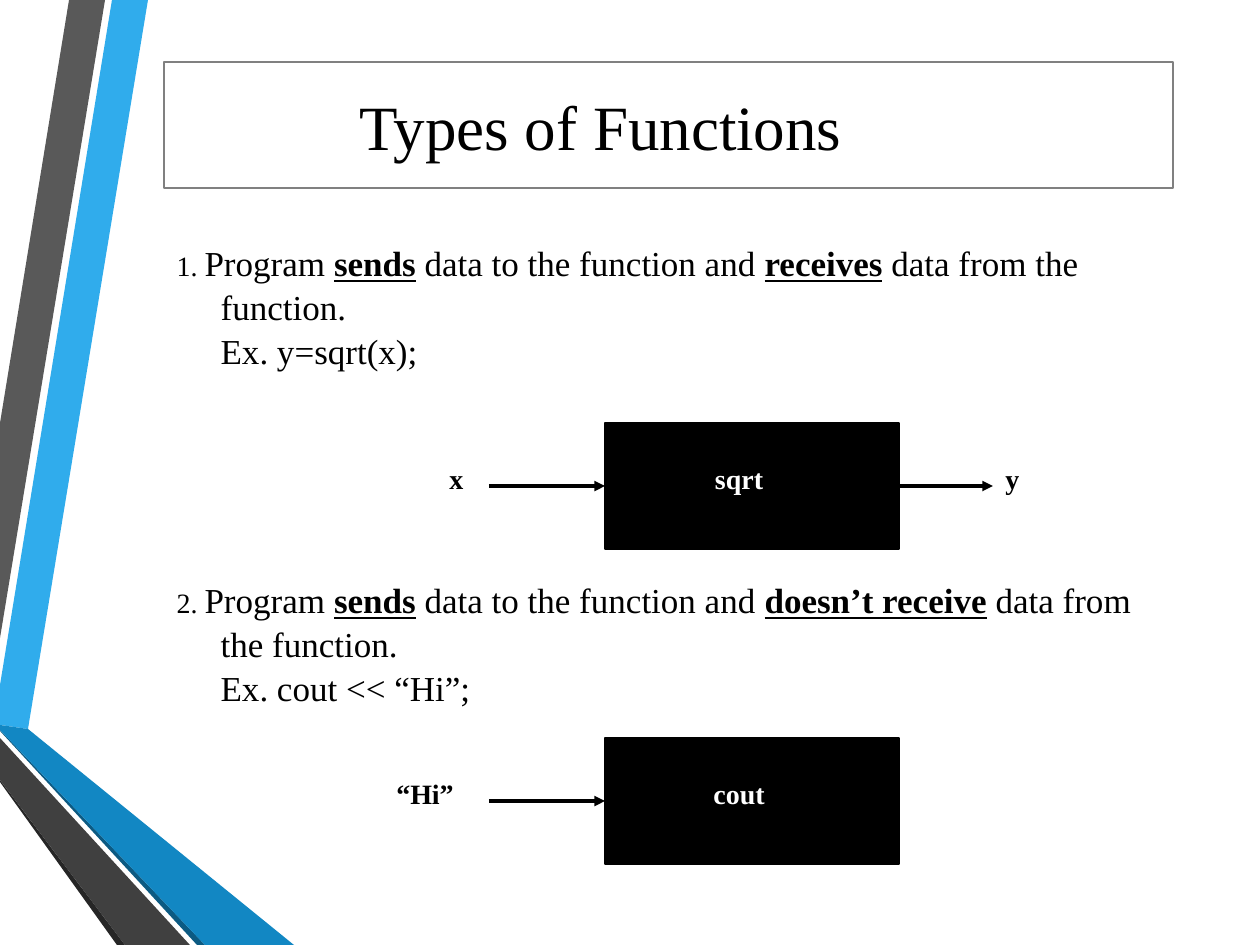
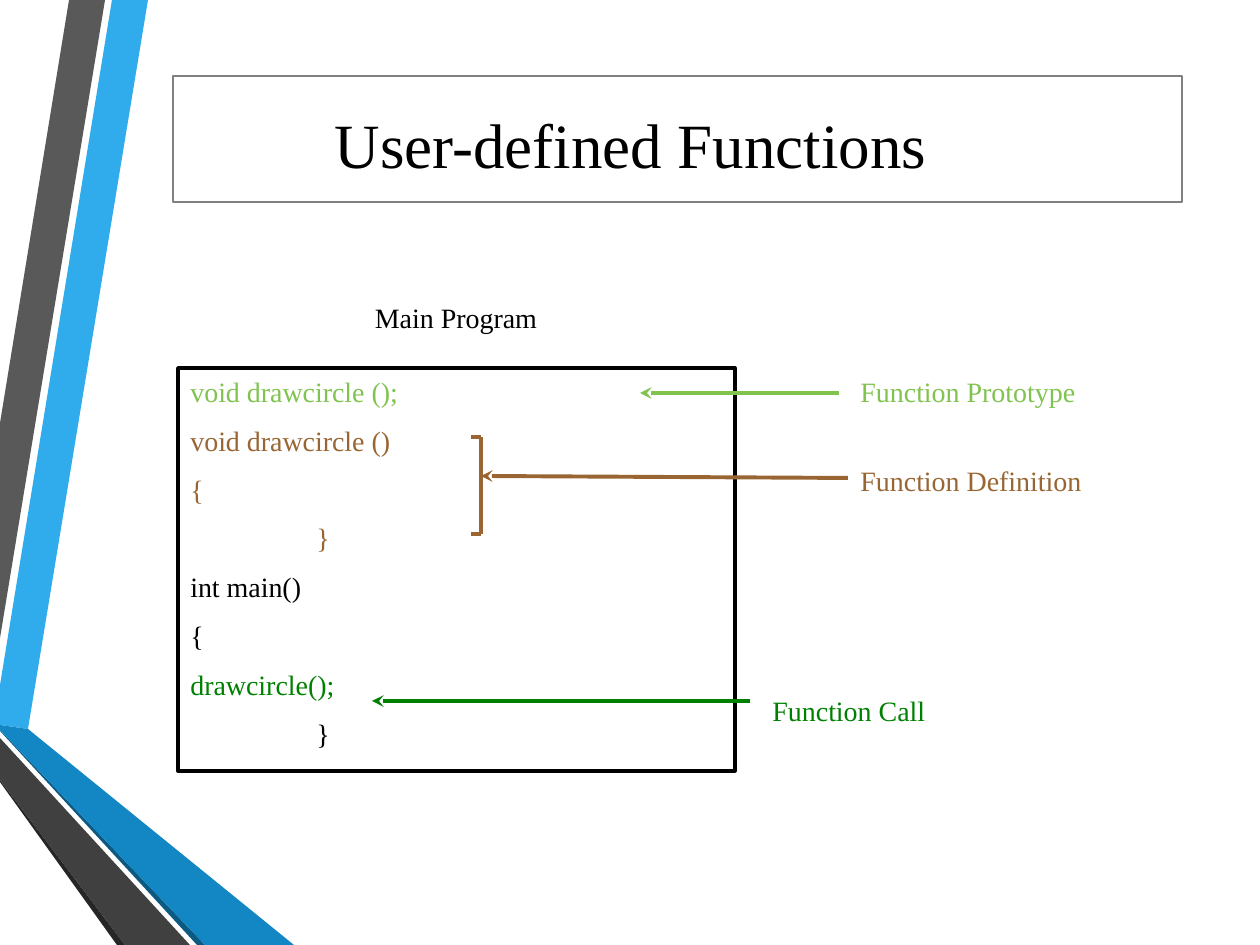
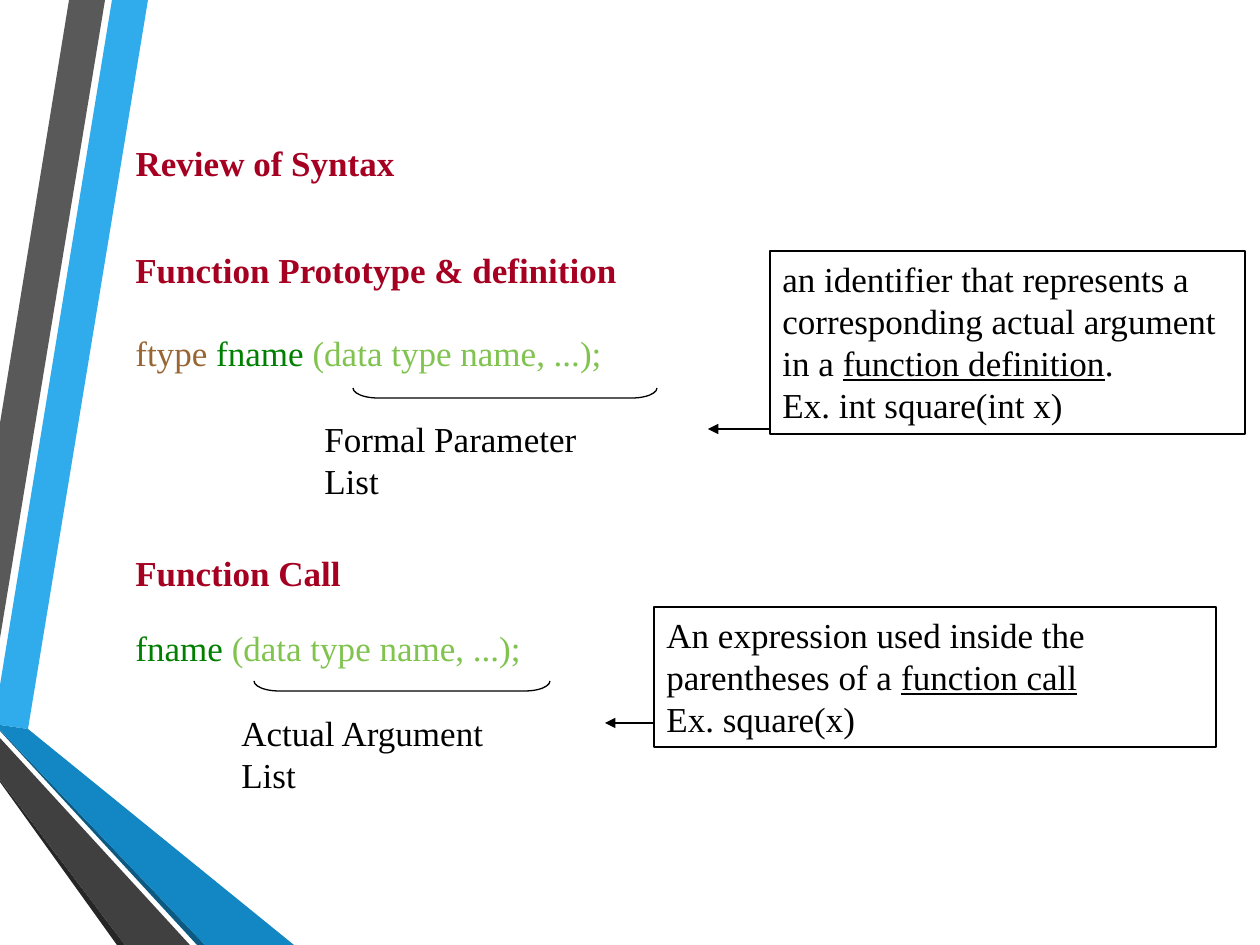
from collections import namedtuple
from dataclasses import dataclass

from lxml.etree import SubElement
from pptx import Presentation
from pptx.dml.color import RGBColor
from pptx.enum.shapes import MSO_CONNECTOR, MSO_SHAPE
from pptx.enum.text import MSO_ANCHOR, MSO_AUTO_SIZE, PP_ALIGN
from pptx.oxml.ns import qn
from pptx.util import Pt

SCALE = 914400 / 126
WIDE, HIGH = 1260, 945
TWO_BODY, TITLE_ONLY = 3, 5

Run = namedtuple("Run", "text color bold under", defaults=(None, None, False))
Para = namedtuple("Para", "runs left", defaults=(0,))


@dataclass(frozen=True)
class Theme:
    font: str = "Times New Roman"
    title: int = 36
    text: int = 20
    label: int = 16
    black: str = "000000"
    white: str = "FFFFFF"
    frame: str = "808080"
    lime: str = "80C34F"
    brown: str = "996633"
    green: str = "008000"
    red: str = "A50021"
    loose: float = 1.04
    gap: float = 8.8


THEME = Theme()

BANDS = [
    ("30ACEC", [(0, 685), (0, 725), (28, 729), (148, 0), (112, 0)]),
    ("595959", [(105, 0), (69, 0), (0, 423), (0, 638)]),
    ("262626", [(0, 780), (0, 782), (117, 945), (125, 945)]),
    ("0C5A82", [(0, 730), (0, 731), (197, 945), (205, 945)]),
    ("1287C3", [(0, 730), (205, 945), (294, 945), (28, 729), (0, 725)]),
    ("404040", [(0, 780), (125, 945), (190, 945), (0, 738)]),
]


def emu(px):
    return round(px * SCALE)


def rgb(code):
    return RGBColor.from_string(code)


def write(shape, *paras, size=THEME.label, color=THEME.black, bold=False,
          align=PP_ALIGN.LEFT, line=None, gap=0):
    """Fill a shape with paragraphs, each a string, a list of runs or a Para."""
    frame = shape.text_frame
    frame.word_wrap = True
    frame.auto_size = MSO_AUTO_SIZE.NONE
    frame.vertical_anchor = MSO_ANCHOR.TOP
    for n, para in enumerate(paras):
        if not isinstance(para, Para):
            para = Para(para)
        item = frame.add_paragraph() if n else frame.paragraphs[0]
        props = item._p.get_or_add_pPr()
        props.set("marL", str(emu(para.left)))
        props.set("indent", "0")
        SubElement(props, qn("a:buNone"))
        item.alignment = align
        item.space_before = Pt(gap if n else 0)
        if line:
            item.line_spacing = line
        runs = [para.runs] if isinstance(para.runs, str) else para.runs
        for part in runs:
            if isinstance(part, str):
                part = Run(part)
            run = item.add_run()
            run.text = part.text
            font = run.font
            font.name, font.size = THEME.font, Pt(size)
            font.bold = bold if part.bold is None else part.bold
            font.underline = part.under
            font.color.rgb = rgb(part.color or color)
    return shape


class Deck:
    def __init__(self):
        self.file = Presentation()
        self.file.slide_width = emu(WIDE)
        self.file.slide_height = emu(HIGH)
        self.slide = None

    def start(self, layout):
        self.slide = self.file.slides.add_slide(self.file.slide_layouts[layout])

    def paint(self, shape, fill=None, line=None, width=0.75):
        shape.shadow.inherit = False
        if fill:
            shape.fill.solid()
            shape.fill.fore_color.rgb = rgb(fill)
        else:
            shape.fill.background()
        if line:
            shape.line.color.rgb = rgb(line)
            shape.line.width = Pt(width)
        else:
            shape.line.fill.background()
        return shape

    def bands(self):
        """Build the bands on the current slide and move them to the master."""
        master = self.file.slide_master.shapes.element
        for n, (color, points) in enumerate(BANDS):
            path = self.slide.shapes.build_freeform(*points[0], scale=SCALE)
            path.add_line_segments(points[1:], close=True)
            band = self.paint(path.convert_to_shape(), color)
            band.element.nvSpPr.cNvPr.id = 20 + n
            master.append(band.element)

    def place(self, shape, x, y, w, h):
        shape.left, shape.top, shape.width, shape.height = map(emu, (x, y, w, h))
        return shape

    def title(self, text, x, y, w, h, **style):
        write(self.place(self.slide.shapes.title, x, y, w, h), text, **style)

    def frame(self, x, y):
        """Draw the title frame behind everything else on the slide."""
        box = self.box(x, y, 1009, 126, fill=THEME.white, line=THEME.frame)
        self.slide.shapes.element.insert(2, box.element)

    def body(self, slot, x, y, w, h, *paras, **style):
        write(self.place(self.slide.placeholders[slot], x, y, w, h), *paras, **style)

    def box(self, x, y, w, h, kind=MSO_SHAPE.RECTANGLE, **look):
        shape = self.slide.shapes.add_shape(kind, *map(emu, (x, y, w, h)))
        return self.paint(shape, **look)

    def text(self, x, y, w, h, *paras, **style):
        area = self.slide.shapes.add_textbox(*map(emu, (x, y, w, h)))
        return write(area, *paras, **style)

    def line(self, x, y, tox, toy, color=THEME.black, width=0.75, head=None):
        link = self.slide.shapes.add_connector(
            MSO_CONNECTOR.STRAIGHT, *map(emu, (x, y, tox, toy)))
        link.line.color.rgb = rgb(color)
        link.line.width = Pt(width)
        if head:
            SubElement(link.line._ln, qn("a:tailEnd"), type=head)
        SubElement(link.element.spPr, qn("a:effectLst"))
        return link

    def brace(self, x, y, w):
        """Draw a thin bracket, open at the top, under a span of text."""
        thick = 10
        shape = self.box(x + (w - thick) // 2, y + (thick - w) // 2, thick, w,
                         kind=MSO_SHAPE.RIGHT_BRACKET, line=THEME.black)
        shape.adjustments[0] = 2.5
        shape.rotation = 90

    def call(self, y, name, given, x, w, result=None):
        """Draw a function as a black box with its input and any result."""
        mid = y + 63
        box = self.box(605, y, 294, 126, fill=THEME.black, line=THEME.black)
        into = self.line(489, mid, 605, mid, width=2, head="triangle")
        into.end_connect(box, 1)
        self.text(x, y + 32, w, 47, given, bold=True)
        label = self.text(615, y + 32, 248, 47, name, bold=True,
                          color=THEME.white, align=PP_ALIGN.CENTER)
        self.paint(label, THEME.black)
        if result:
            out = self.line(899, mid, 993, mid, width=2, head="triangle")
            out.begin_connect(box, 3)
            self.text(993, y + 32, 84, 47, result, bold=True)


def strong(text):
    return Run(text, bold=True, under=True)


def types(deck):
    deck.start(TWO_BODY)
    deck.bands()
    deck.frame(164, 62)
    deck.title("Types of Functions", 347, 81, 829, 90, size=THEME.title)
    rows = [
        (234, "1. ", "receives", " data from the", "function.", "Ex. y=sqrt(x);"),
        (571, "2. ", "doesn’t receive", " data from", "the function.",
         "Ex. cout << “Hi”;"),
    ]
    for slot, (y, mark, verb, tail, rest, sample) in enumerate(rows, 1):
        first = ["Program ", strong("sends"), " data to the function and ",
                 strong(verb), tail]
        deck.body(slot, 164, y, 1096, 144, [mark] + first,
                  Para(rest, 44), Para(sample, 44),
                  size=THEME.text, line=THEME.loose)
        number = deck.slide.placeholders[slot].text_frame.paragraphs[0].runs[0]
        number.font.size = Pt(THEME.label)
    deck.call(738, "cout", "“Hi”", 384, 116)
    deck.call(423, "sqrt", "x", 437, 84, result="y")


def defined(deck):
    deck.start(TITLE_ONLY)
    deck.frame(173, 76)
    deck.title("User-defined Functions", 322, 99, 938, 90, size=THEME.title)
    code = [
        ("void drawcircle ();", THEME.lime, 0),
        ("void drawcircle ()", THEME.brown, 0),
        ("{", THEME.brown, 0),
        ("}", THEME.brown, 126),
        ("int main()", THEME.black, 0),
        ("{", THEME.black, 0),
        ("drawcircle();", THEME.green, 0),
        ("}", THEME.black, 126),
    ]
    main = deck.box(178, 368, 557, 403, fill=THEME.white, line=THEME.black, width=2)
    write(main, *[Para([Run(text, color)], left) for text, color, left in code],
          gap=THEME.gap)
    deck.text(199, 294, 514, 47, "Main Program", align=PP_ALIGN.CENTER)

    notes = [
        ("Function Prototype", THEME.lime, 848, 368, (839, 393, 640, 393)),
        ("Function Call", THEME.green, 760, 687, (750, 701, 372, 701)),
        ("Function Definition", THEME.brown, 848, 457, (848, 478, 481, 476)),
    ]
    for text, color, x, y, ends in notes:
        deck.text(x, y, 412, 47, text, color=color)
        deck.line(*ends, color=color, width=2.25, head="stealth")
    top, foot = 437, 534
    for ends in [(481, top, 481, foot), (471, top, 481, top), (471, foot, 481, foot)]:
        deck.line(*ends, color=THEME.brown, width=2.25)


def review(deck):
    deck.start(TITLE_ONLY)
    deck.title("Review of Syntax", 123, 135, 1137, 55,
               size=THEME.text, color=THEME.red, bold=True)
    name = Run("fname ", THEME.green)
    data = Run("(data type name, ...);", THEME.lime)
    rows = [
        (241, [Run("Function Prototype & definition", THEME.red, True)]),
        (324, [Run("ftype ", THEME.brown), name, data]),
        (544, [Run("Function Call", THEME.red, True)]),
        (619, [name, data]),
    ]
    for y, runs in rows:
        deck.text(123, y, 1137, 54, runs, size=THEME.text, line=THEME.loose)

    formal = ["an identifier that represents a corresponding actual argument in a ",
              Run("function definition", under=True), "."]
    actual = ["An expression used inside the parentheses of a ",
              Run("function call", under=True)]
    parts = [
        ((770, 251, 475, 183), formal, "Ex. int square(int x)", (353, 388, 304),
         "Formal Parameter List", (312, 411, 330, 55), (769, 429, 708, 429)),
        ((654, 607, 562, 140), actual, "Ex. square(x)", (254, 681, 296),
         "Actual Argument List", (229, 705, 312, 55), (654, 723, 605, 723)),
    ]
    for area, meaning, sample, span, label, spot, ends in parts:
        write(deck.box(*area, line=THEME.black), meaning, sample, size=THEME.text)
        deck.brace(*span)
        deck.text(*spot, label, size=THEME.text)
        deck.line(*ends, head="triangle")


def main():
    deck = Deck()
    for build in (types, defined, review):
        build(deck)
    deck.file.save("out.pptx")


if __name__ == "__main__":
    main()
